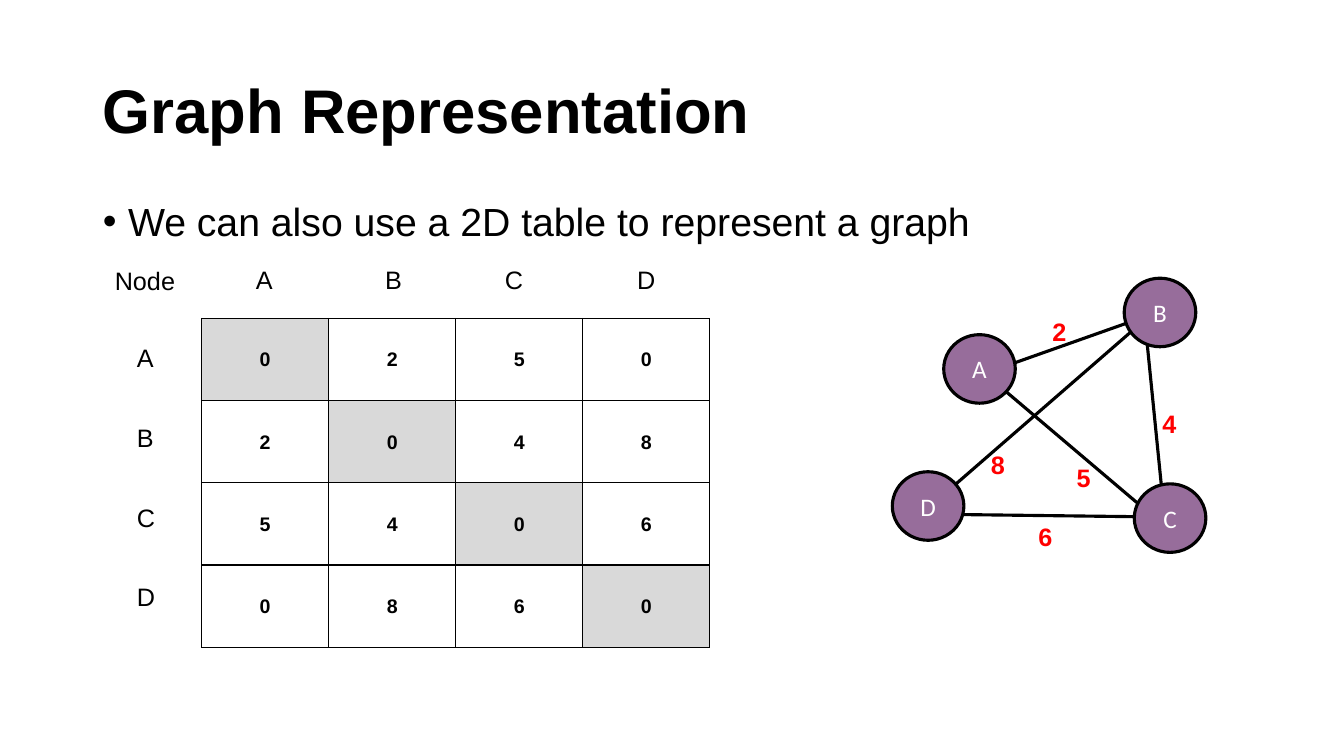
from lxml.etree import SubElement
from pptx import Presentation
from pptx.dml.color import RGBColor
from pptx.enum.shapes import MSO_CONNECTOR as Connector, MSO_SHAPE as Shape
from pptx.enum.text import MSO_ANCHOR as Anchor, MSO_AUTO_SIZE as AutoSize, PP_ALIGN as Align
from pptx.oxml.ns import qn
from pptx.util import Inches, Pt

NODES = "ABCD"
WEIGHTS = [[0, 2, 5, 0], [2, 0, 4, 8], [5, 4, 0, 6], [0, 8, 6, 0]]

# Header letters: left edge of each column label
COLUMN_LABELS = {"A": 2.44, "B": 3.72, "C": 4.91, "D": 6.22}
NODE_POSITIONS = {"B": (11.15, 2.76), "C": (11.25, 4.8), "A": (9.36, 3.32), "D": (8.85, 4.68)}
# Edge: start, end, position of its weight
EDGES = {
    "DB": ((9.23, 5.02), (11.45, 3.09), (9.73, 4.41)),
    "AB": ((9.78, 3.7), (11.39, 3.13), (10.34, 3.09)),
    "CA": ((11.54, 5.21), (9.76, 3.7), (10.58, 4.54)),
    "BC": ((11.34, 3.03), (11.55, 5.13), (11.43, 4)),
    "DC": ((9.14, 5.1), (11.6, 5.13), (10.2, 5.12)),
}


def color(value):
    return RGBColor.from_string(value)


def set_attributes(target, values):
    for name, value in values.items():
        setattr(target, name, value)


class GraphSlide:
    ink, node_fill, diagonal_fill, weight_ink = "000000", "976D9B", "D9D9D9", "FF0000"
    line_width = 2.25

    def __init__(self, presentation):
        self.slide = presentation.slides.add_slide(presentation.slide_layouts[1])
        self.shapes = self.slide.shapes

    def set_text(self, paragraph, text, size=18, ink=ink, bold=False, font="Arial", **layout):
        paragraph.text = text
        set_attributes(paragraph, layout)
        set_attributes(paragraph.font, {"name": font, "size": Pt(size), "bold": bold})
        paragraph.font.color.rgb = color(ink)

    def placeholder(self, index, box, text, anchor, **style):
        shape = self.slide.placeholders[index]
        names = ("left", "top", "width", "height")
        set_attributes(shape, dict(zip(names, map(Inches, box))))
        frame = shape.text_frame
        set_attributes(frame, {"auto_size": AutoSize.NONE, "vertical_anchor": anchor})
        paragraph = frame.paragraphs[0]
        if index == 1:
            self.add_bullet(paragraph)
        self.set_text(paragraph, text, alignment=Align.LEFT, line_spacing=0.9, **style)

    def title(self, text):
        self.placeholder(0, (0.92, 0.4, 11.5, 1.45), text, Anchor.MIDDLE, size=44, bold=True)

    def body(self, text):
        self.placeholder(1, (0.92, 1.96, 11.5, 4.76), text, Anchor.TOP,
                         size=28, space_before=Pt(0))

    def add_bullet(self, paragraph):
        properties = paragraph._p.get_or_add_pPr()
        properties.set("marL", str(Inches(0.25)))
        properties.set("indent", str(Inches(-0.25)))
        SubElement(properties, qn("a:buFont")).set("typeface", "Arial")
        SubElement(properties, qn("a:buChar")).set("char", "•")

    def label(self, text, left, top, width=0.38, **style):
        box = self.shapes.add_textbox(Inches(left), Inches(top), Inches(width), Inches(0.4))
        frame = box.text_frame
        set_attributes(frame, {"word_wrap": False, "auto_size": AutoSize.SHAPE_TO_FIT_TEXT})
        self.set_text(frame.paragraphs[0], text, **style)

    def border(self, cell):
        properties = cell._tc.get_or_add_tcPr()
        for side in "LRTB":
            line = SubElement(properties, qn(f"a:ln{side}"), w=str(Pt(1)))
            fill = SubElement(line, qn("a:solidFill"))
            SubElement(fill, qn("a:srgbClr")).set("val", self.ink)

    def matrix(self, values, left, top, width, height):
        size = len(values)
        table = self.shapes.add_table(size, size, Inches(left), Inches(top),
                                      Inches(width), Inches(height)).table
        set_attributes(table, {"first_row": False, "horz_banding": False})
        cell_format = {
            "vertical_anchor": Anchor.MIDDLE, "margin_left": Inches(0.01),
            "margin_right": Inches(0.01), "margin_top": Inches(0.01), "margin_bottom": 0,
        }
        for row, numbers in enumerate(values):
            for column, number in enumerate(numbers):
                cell = table.cell(row, column)
                set_attributes(cell, cell_format)
                self.border(cell)
                if row == column:
                    cell.fill.solid()
                    cell.fill.fore_color.rgb = color(self.diagonal_fill)
                else:
                    cell.fill.background()
                self.set_text(cell.text_frame.paragraphs[0], str(number), size=14,
                              bold=True, alignment=Align.CENTER)

    def outline(self, shape):
        shape.line.color.rgb = color(self.ink)
        shape.line.width = Pt(self.line_width)

    def edge(self, start, end):
        line = self.shapes.add_connector(Connector.STRAIGHT, *map(Inches, start + end))
        self.outline(line)
        SubElement(line._element.spPr, qn("a:effectLst"))

    def node(self, name, left, top):
        circle = self.shapes.add_shape(Shape.OVAL, Inches(left), Inches(top),
                                       Inches(0.71), Inches(0.68))
        circle.shadow.inherit = False
        circle.fill.solid()
        circle.fill.fore_color.rgb = color(self.node_fill)
        self.outline(circle)
        circle.text_frame.vertical_anchor = Anchor.MIDDLE
        self.set_text(circle.text_frame.paragraphs[0], name, ink="FFFFFF", font="Calibri",
                      alignment=Align.CENTER)


def main():
    presentation = Presentation()
    set_attributes(presentation, {"slide_width": Inches(13.33), "slide_height": Inches(7.5)})
    graph = GraphSlide(presentation)

    # Heading
    graph.title("Graph Representation")
    graph.body("We can also use a 2D table to represent a graph")

    # Adjacency matrix with its labels
    graph.matrix(WEIGHTS, 2, 3.16, 5.04, 3.26)
    graph.label("Node", 1.04, 2.58, width=0.81)
    for index, name in enumerate(NODES):
        graph.label(name, 1.26, 3.35 + 0.79 * index)
        graph.label(name, COLUMN_LABELS[name], 2.57)

    # Graph: edges lie behind the nodes, weights on top
    for start, end, _ in EDGES.values():
        graph.edge(start, end)
    for name, position in NODE_POSITIONS.items():
        graph.node(name, *position)
    for (first, second), (_, _, position) in EDGES.items():
        weight = WEIGHTS[NODES.index(first)][NODES.index(second)]
        graph.label(str(weight), *position, width=0.34, ink=graph.weight_ink, bold=True)

    presentation.save("out.pptx")


if __name__ == "__main__":
    main()
